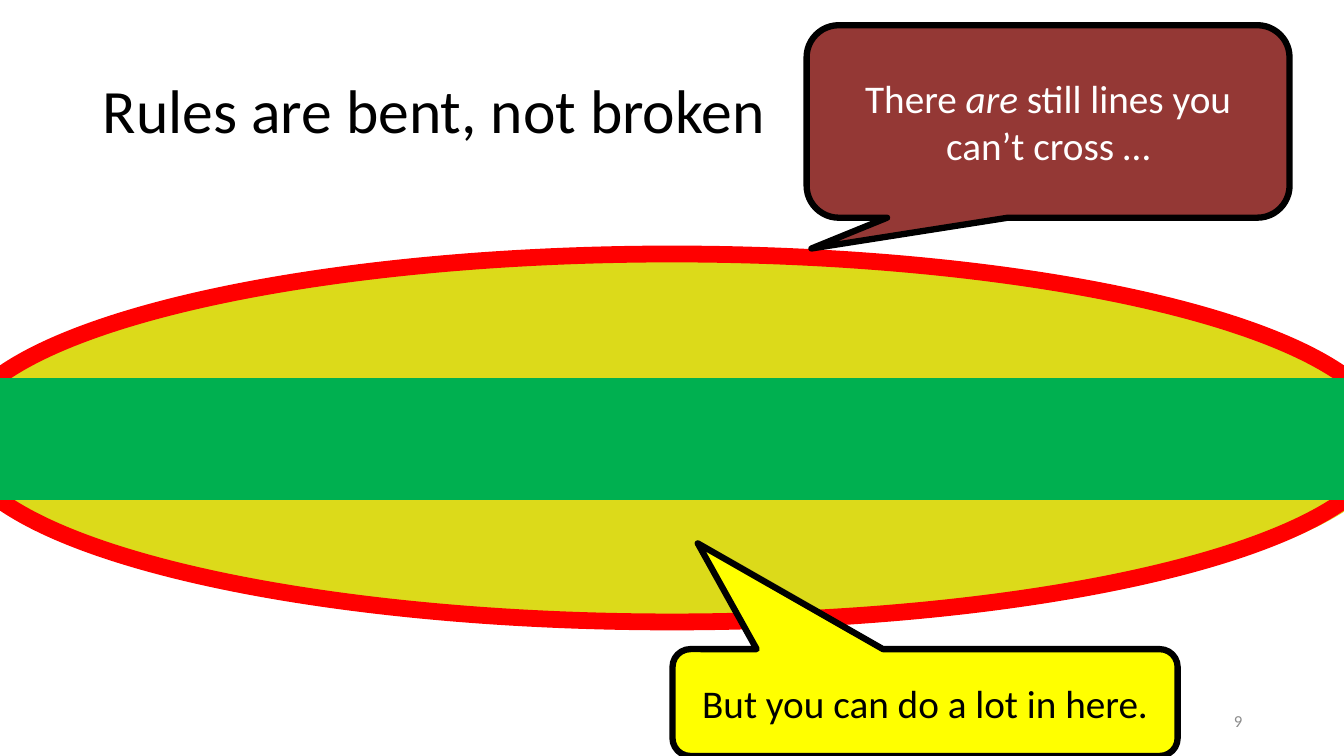
from dataclasses import dataclass
from typing import Optional

from pptx import Presentation
from pptx.dml.color import RGBColor
from pptx.enum.shapes import MSO_SHAPE as Preset
from pptx.enum.text import MSO_ANCHOR as Anchor, PP_ALIGN as Align
from pptx.util import Inches, Pt


@dataclass(frozen=True)
class Theme:
    font: str = "Calibri"
    title_size: float = 44
    callout_size: float = 28
    number_size: float = 12
    black: str = "000000"
    white: str = "FFFFFF"
    grey: str = "8C8C8C"
    red: str = "FF0000"
    olive: str = "DCDA1A"
    green: str = "00B050"
    yellow: str = "FFFF00"
    maroon: str = "943835"


@dataclass(frozen=True)
class Box:
    left: float
    top: float
    width: float
    height: float

    def lengths(self):
        return [Inches(v) for v in (self.left, self.top, self.width, self.height)]


@dataclass(frozen=True)
class Figure:
    preset: Preset
    box: Box
    fill: str
    line: Optional[str] = None
    line_width: float = 0
    adjustments: tuple[float, ...] = ()


@dataclass(frozen=True)
class Callout:
    figure: Figure
    runs: tuple[tuple[str, bool], ...]  # wording, italic
    color: str


THEME = Theme()


def write(frame, *runs, size, color, align=Align.LEFT, spacing=None):
    """Fill a text frame with (wording, italic) runs in one paragraph."""
    frame.word_wrap = True
    frame.vertical_anchor = Anchor.MIDDLE
    paragraph = frame.paragraphs[0]
    paragraph.alignment = align
    if spacing:
        paragraph.line_spacing = spacing
    for wording, italic in runs:
        run = paragraph.add_run()
        run.text = wording
        run.font.name = THEME.font
        run.font.size = Pt(size)
        run.font.italic = italic
        run.font.color.rgb = RGBColor.from_string(color)


def draw(slide, figure: Figure):
    shape = slide.shapes.add_shape(figure.preset, *figure.box.lengths())
    shape.shadow.inherit = False
    for index, value in enumerate(figure.adjustments):
        shape.adjustments[index] = value
    shape.fill.solid()
    shape.fill.fore_color.rgb = RGBColor.from_string(figure.fill)
    if figure.line:
        shape.line.color.rgb = RGBColor.from_string(figure.line)
        shape.line.width = Pt(figure.line_width)
    else:
        shape.line.fill.background()
    return shape


def bubble(box: Box, fill: str, pointer: tuple[float, float]) -> Figure:
    return Figure(Preset.ROUNDED_RECTANGULAR_CALLOUT, box, fill,
                  THEME.black, 4.5, (*pointer, 0.167))


# Ellipses and the green band across them
ELLIPSES_AND_BAND = (
    Figure(Preset.OVAL, Box(-0.31, 2.56, 14.17, 3.65), THEME.olive),
    Figure(Preset.OVAL, Box(-0.42, 2.52, 14.17, 3.65), THEME.olive, THEME.red, 12),
    Figure(Preset.RECTANGLE, Box(-0.16, 3.75, 13.66, 1.21), THEME.green),
)

# Callouts
CALLOUTS = (
    Callout(bubble(Box(6.67, 6.44, 5.01, 1.06), THEME.yellow, (-0.45, -1.49)),
            (("But you can do a lot in here.", False),), THEME.black),
    Callout(bubble(Box(8, 0.25, 4.79, 1.91), THEME.maroon, (-0.49, 0.66)),
            (("There ", False), ("are", True),
             (" still lines you can’t cross …", False)), THEME.white),
)


def main() -> None:
    deck = Presentation()
    deck.slide_width, deck.slide_height = Inches(13.33), Inches(7.5)
    slide = deck.slides.add_slide(deck.slide_layouts[5])

    # Title
    title = slide.shapes.title
    title.left, title.top, title.width, title.height = Box(0.92, 0.4, 10.76, 1.45).lengths()
    write(title.text_frame, ("Rules are bent, not broken", False),
          size=THEME.title_size, color=THEME.black, spacing=0.9)

    # Slide number
    number = slide.shapes.add_textbox(*Box(9.42, 6.95, 3, 0.4).lengths())
    write(number.text_frame, ("9", False),
          size=THEME.number_size, color=THEME.grey, align=Align.RIGHT)

    # Ellipses, band and callouts
    for figure in ELLIPSES_AND_BAND:
        draw(slide, figure)
    for callout in CALLOUTS:
        write(draw(slide, callout.figure).text_frame, *callout.runs,
              size=THEME.callout_size, color=callout.color, align=Align.CENTER)

    deck.save("out.pptx")


if __name__ == "__main__":
    main()
